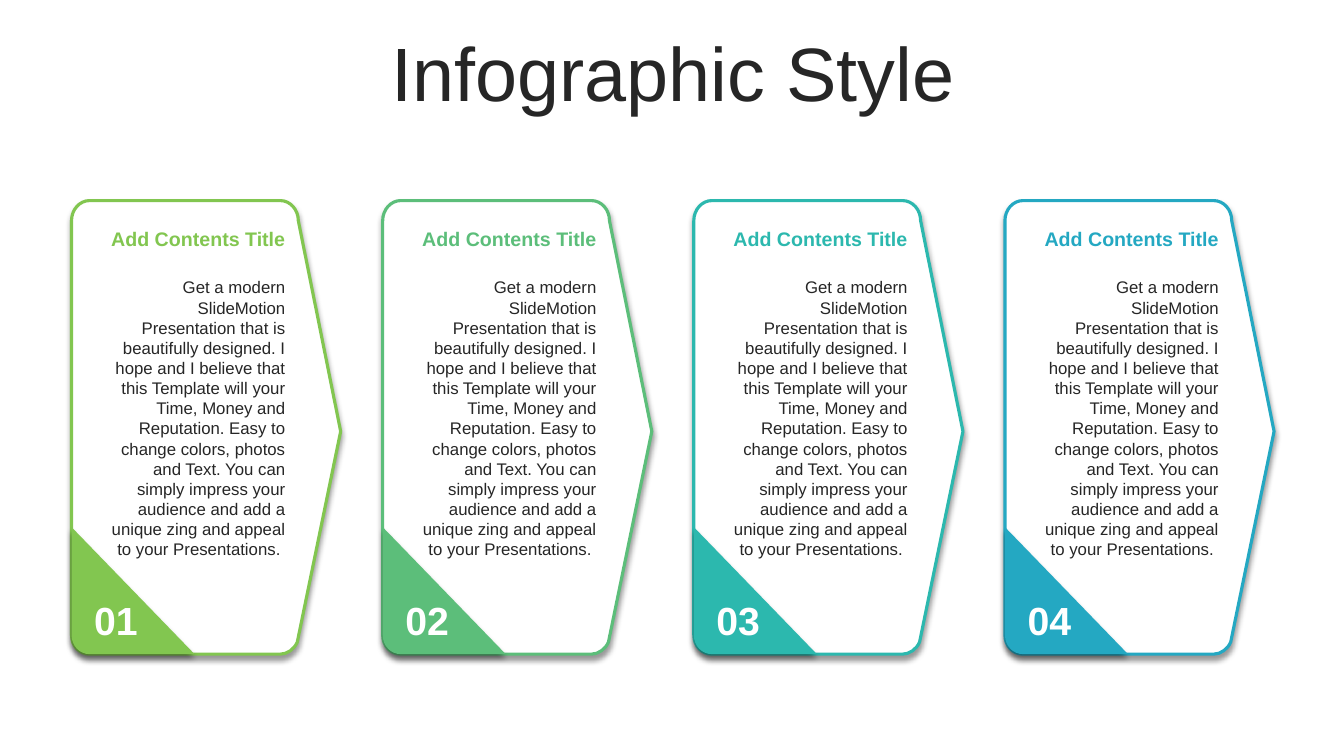
from lxml import etree
from pptx import Presentation
from pptx.dml.color import RGBColor
from pptx.enum.text import MSO_ANCHOR, MSO_AUTO_SIZE, PP_ALIGN
from pptx.oxml.ns import qn
from pptx.util import Emu, Pt

CENTER, RIGHT = PP_ALIGN.CENTER, PP_ALIGN.RIGHT
TOP, MIDDLE = MSO_ANCHOR.TOP, MSO_ANCHOR.MIDDLE
GROW, FIXED = MSO_AUTO_SIZE.SHAPE_TO_FIT_TEXT, MSO_AUTO_SIZE.NONE

EMU_PER_PX = 9144
INK, WHITE = "262626", "FFFFFF"
CARD_COLORS = ["82C650", "5CBE7A", "2CB8AE", "24A8C2"]
CARD_LEFT, CARD_TOP, CARD_SPAN = 71, 199, 926
BODY = (
    "Get a modern SlideMotion Presentation that is beautifully designed. "
    "I hope and I believe that this Template will your Time, Money and "
    "Reputation. Easy to change colors, photos and Text. You can simply "
    "impress your audience and add a unique zing and appeal to your "
    "Presentations. "
)
BOTTOM_LEFT_CURVE = [(8, 450), (0, 442), (0, 431)]
CARD_OUTLINE = [
    [(18, 0)], [(207, 0)], [(217, 0), (225, 9), (225, 20)],
    [(267, 229)], [(224, 438)], [(221, 445), (214, 450), (207, 450)],
    [(18, 450)], BOTTOM_LEFT_CURVE, [(0, 20)], [(0, 9), (8, 0), (18, 0)],
]
CORNER_OUTLINE = [[(0, 324)], [(122, 450)], [(18, 450)], BOTTOM_LEFT_CURVE]


def px(n):
    return Emu(round(n * EMU_PER_PX))


def color(value):
    return RGBColor.from_string(value)


class SlideBuilder:
    def __init__(self, prs, font):
        self.slide = prs.slides.add_slide(prs.slide_layouts[6])
        self.font = font

    def group(self):
        return self.slide.shapes.add_group_shape().shapes

    def text(self, shapes, text, x, y, w, h, size, fill=INK, bold=False,
             align=CENTER, anchor=TOP, inset_y=5, inset_x=10, auto=GROW,
             line_spacing=None):
        sp = shapes.add_textbox(px(x), px(y), px(w), px(h))
        tf = sp.text_frame
        tf.word_wrap = True
        tf.auto_size = auto
        tf.vertical_anchor = anchor
        tf.margin_left = tf.margin_right = px(inset_x)
        tf.margin_top = tf.margin_bottom = px(inset_y)
        p = tf.paragraphs[0]
        p.alignment = align
        p.line_spacing = line_spacing
        r = p.add_run()
        r.text = text
        r.font.name = self.font
        r.font.size = Pt(size)
        r.font.bold = bold
        r.font.color.rgb = color(fill)

    def freeform(self, shapes, outline, x, y, fill, line=None):
        points = [(px(x + a), px(y + b)) for step in outline for a, b in step]
        builder = shapes.build_freeform(*points[0])
        builder.add_line_segments(points[1:], close=True)
        sp = builder.convert_to_shape()
        self.bend(sp, outline[1:])
        sp.fill.solid()
        sp.fill.fore_color.rgb = color(fill)
        if line:
            sp.line.color.rgb = color(line)
            sp.line.width = Pt(2.25)
        else:
            sp.line.fill.background()
        self.shadow(sp)

    def bend(self, sp, steps):
        segments = iter(list(sp._element.iter(qn("a:lnTo"))))
        for step in steps:
            parts = [next(segments) for _ in step]
            if len(parts) == 3:
                curve = etree.Element(qn("a:cubicBezTo"))
                parts[0].addprevious(curve)
                for part in parts:
                    curve.append(part[0])
                    part.getparent().remove(part)

    def shadow(self, sp):
        sp.shadow.inherit = False
        effects = sp._element.spPr.find(qn("a:effectLst"))
        outer = etree.SubElement(
            effects, qn("a:outerShdw"), blurRad=str(Pt(4)), dist=str(Pt(3)),
            dir="5400000", algn="t", rotWithShape="0")
        black = etree.SubElement(outer, qn("a:srgbClr"), val="000000")
        etree.SubElement(black, qn("a:alpha"), val="40000")

    def card(self, number, x, y, accent):
        shapes = self.group()
        self.freeform(shapes, CARD_OUTLINE, x, y, WHITE, line=accent)
        self.freeform(shapes, CORNER_OUTLINE, x, y, accent)
        self.text(shapes, BODY, x + 21, y + 71, 201, 293, 12, align=RIGHT)
        self.text(shapes, "Add Contents Title", x + 21, y + 21, 201, 34, 14,
                  fill=accent, bold=True, align=RIGHT)
        self.text(shapes, f"{number:02d}", x, y + 392, 88, 47, 28, fill=WHITE,
                  bold=True, anchor=MIDDLE, inset_x=8, inset_y=0)


def main():
    prs = Presentation()
    prs.slide_height = px(750)
    prs.slide_width = Emu(prs.slide_height * 16 // 9)
    s = SlideBuilder(prs, "Arial")
    s.text(s.slide.shapes, "Infographic Style", 35, 37, 1266, 79, 54,
           anchor=MIDDLE, auto=FIXED, line_spacing=0.9)
    for i, accent in enumerate(CARD_COLORS):
        left = CARD_LEFT + CARD_SPAN * i / (len(CARD_COLORS) - 1)
        s.card(i + 1, left, CARD_TOP, accent)
    prs.save("out.pptx")


if __name__ == "__main__":
    main()
